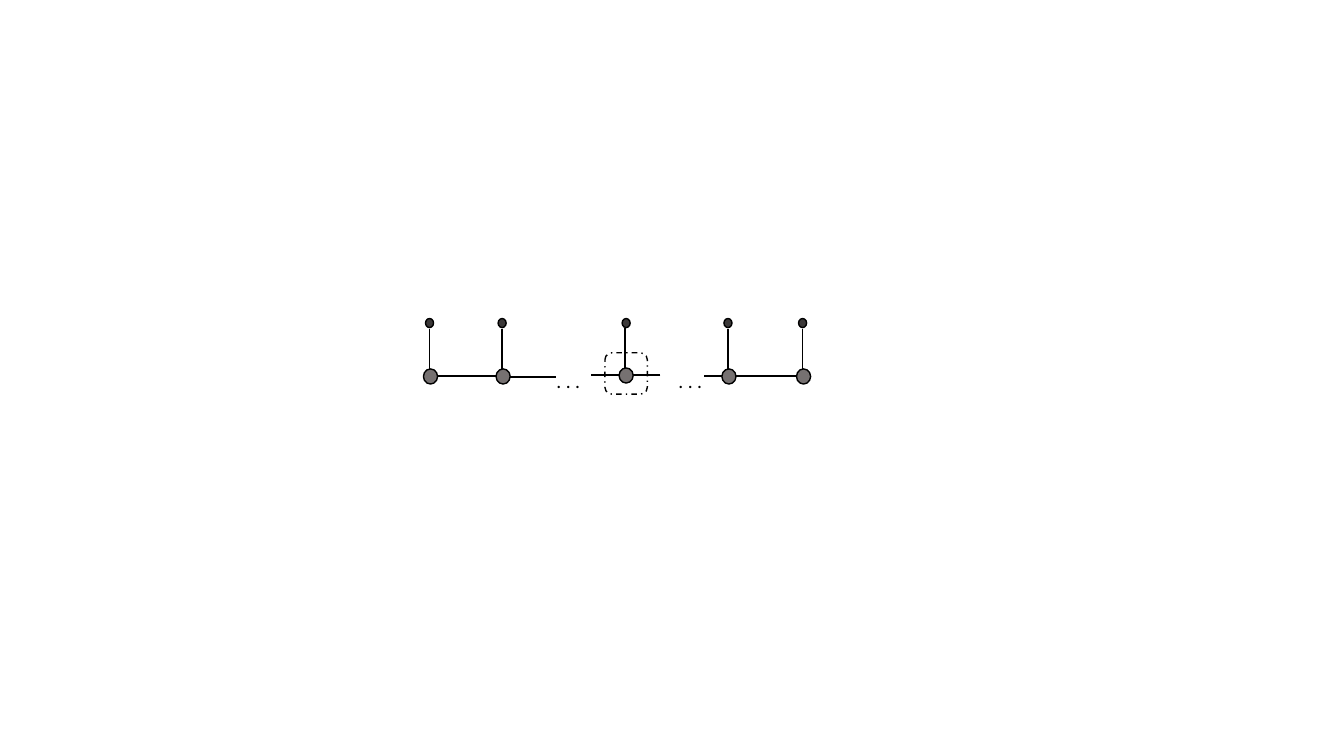
from lxml.etree import SubElement
from pptx import Presentation
from pptx.dml.color import RGBColor
from pptx.enum.dml import MSO_LINE
from pptx.enum.shapes import MSO_CONNECTOR, MSO_SHAPE
from pptx.enum.text import MSO_AUTO_SIZE
from pptx.oxml.ns import qn
from pptx.util import Inches, Pt

BLACK = RGBColor(0x00, 0x00, 0x00)
GRAY = RGBColor(0x76, 0x71, 0x71)
DARK = RGBColor(0x3B, 0x38, 0x38)


def write(frame, text, font="Calibri", size=14, color=BLACK):
    run = frame.paragraphs[0].add_run()
    run.text = text
    run.font.name = font
    run.font.size = Pt(size)
    run.font.color.rgb = color


class Sketch:
    def __init__(self, slide, ink=BLACK, width=1):
        self.shapes = slide.shapes
        self.ink = ink
        self.width = Pt(width)

    def stroke(self, line):
        line.color.rgb = self.ink
        line.width = self.width

    def shape(self, kind, x, y, w, h, fill=None, dash=None):
        item = self.shapes.add_shape(kind, Inches(x), Inches(y), Inches(w), Inches(h))
        item.shadow.inherit = False
        if fill is None:
            item.fill.background()
        else:
            item.fill.solid()
            item.fill.fore_color.rgb = fill
        self.stroke(item.line)
        if dash:
            item.line.dash_style = dash

    def line(self, x1, y1, x2, y2):
        item = self.shapes.add_connector(
            MSO_CONNECTOR.STRAIGHT, Inches(x1), Inches(y1), Inches(x2), Inches(y2))
        self.stroke(item.line)
        SubElement(item.line._ln.getparent(), qn("a:effectLst"))

    def label(self, text, x, y, w, h):
        box = self.shapes.add_textbox(Inches(x), Inches(y), Inches(w), Inches(h))
        box.text_frame.word_wrap = True
        box.text_frame.auto_size = MSO_AUTO_SIZE.SHAPE_TO_FIT_TEXT
        write(box.text_frame, text)

    def node(self, x, y, shift=0.02):
        """A node with its stem and the small dot on top."""
        self.shape(MSO_SHAPE.OVAL, x, y, 0.14, 0.15, GRAY)
        self.line(x + 0.06, y - 0.4, x + 0.06, y)
        self.shape(MSO_SHAPE.OVAL, x + shift, 3.16, 0.08, 0.09, DARK)


def main():
    deck = Presentation()
    deck.slide_width = Inches(13.33)
    deck.slide_height = Inches(7.5)
    art = Sketch(deck.slides.add_slide(deck.slide_layouts[6]))

    # Links along the chain
    for x1, x2, y in [(4.93, 4.33, 3.73), (5.51, 5.06, 3.74),
                      (6.14, 5.86, 3.72), (6.55, 6.28, 3.72),
                      (7.16, 6.98, 3.73), (7.9, 7.3, 3.73)]:
        art.line(x1, y, x2, y)

    # Outer nodes, then the middle one
    for x in (4.2, 4.92, 7.16, 7.9):
        art.node(x, 3.66)
    art.node(6.14, 3.65, shift=0.03)

    # Gaps in the chain
    for x in (5.42, 6.63):
        art.label(". . .", x, 3.61, 0.62, 0.34)

    # Frame around the middle node
    art.shape(MSO_SHAPE.ROUNDED_RECTANGLE, 6, 3.5, 0.42, 0.41, dash=MSO_LINE.DASH_DOT)

    deck.save("out.pptx")


if __name__ == "__main__":
    main()
